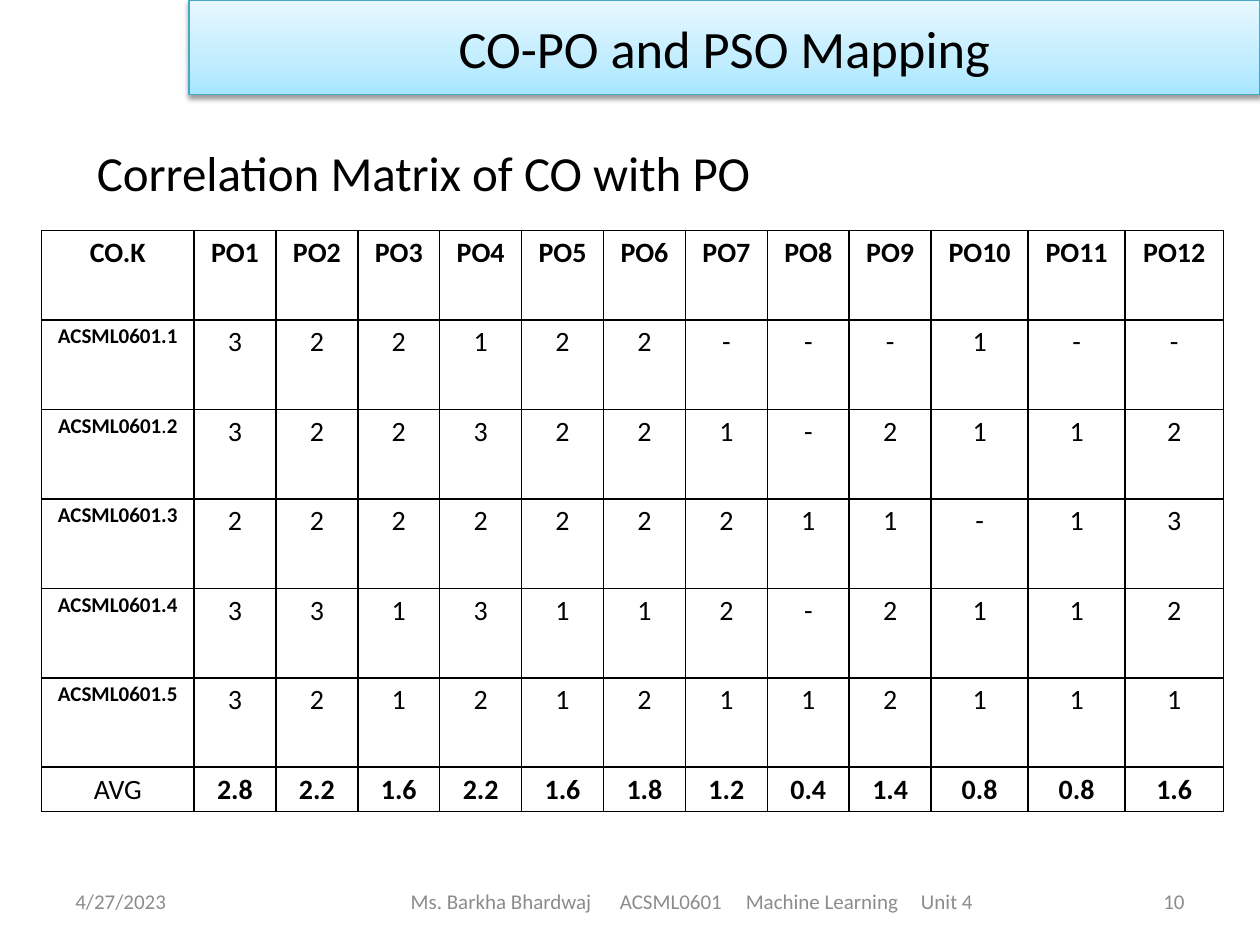
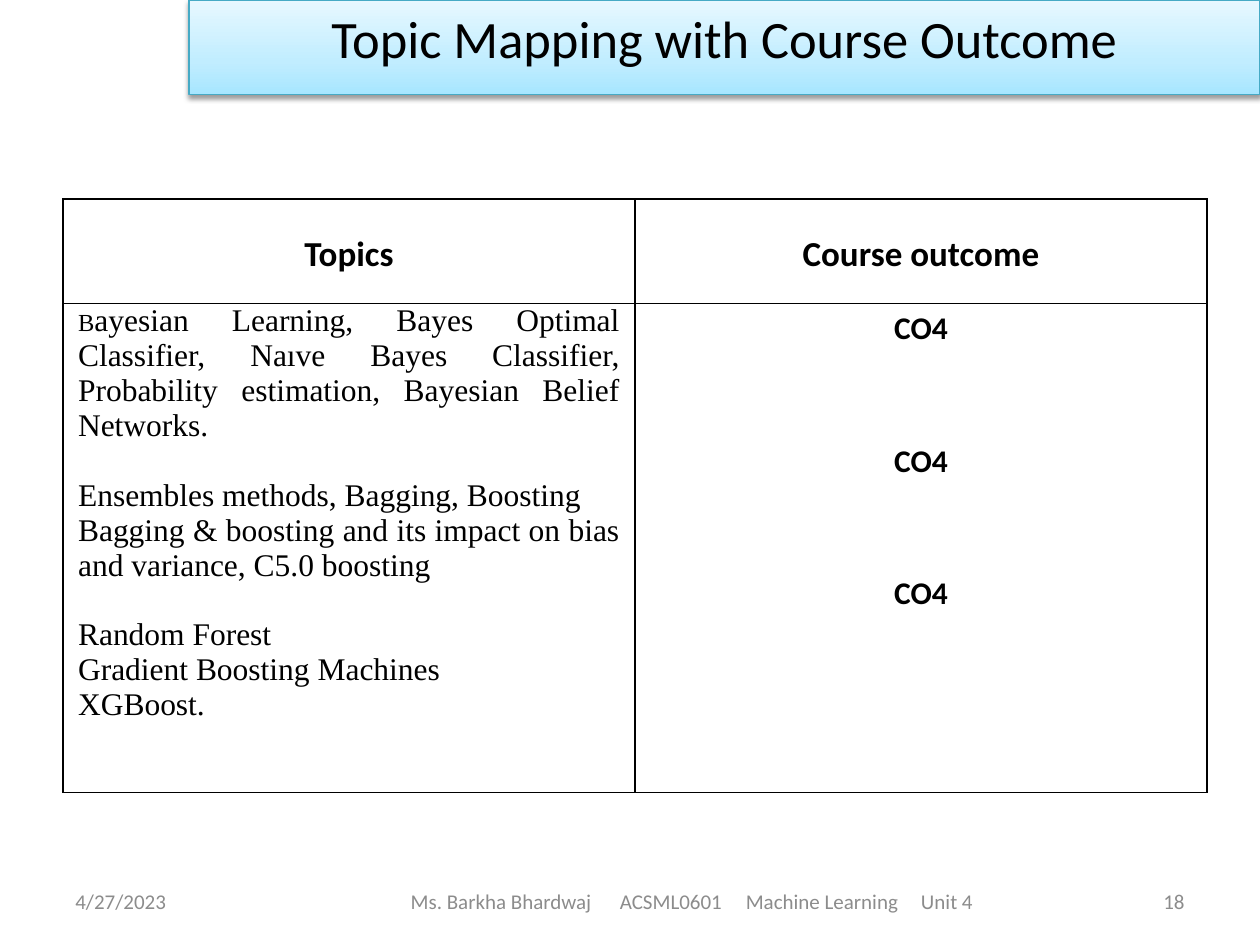
"""Build the CO-PO mapping and topic mapping slides of a course deck."""

from lxml.etree import SubElement
from pptx import Presentation
from pptx.dml.color import RGBColor
from pptx.enum.text import MSO_ANCHOR, MSO_AUTO_SIZE, PP_ALIGN
from pptx.oxml import parse_xml
from pptx.oxml.ns import nsdecls, qn
from pptx.util import Inches, Pt

COLORS = {
    "text": "000000",
    "footer": "8C8C8C",
    "band_bottom": "A7E6FF",
    "band_middle": "C1EDFF",
    "band_top": "E7F8FF",
    "band_line": "46AAC5",
    "border": "000000",
    "shadow": "000000",
}
BAND_STOPS = [(0, "band_bottom"), (35, "band_middle"), (100, "band_top")]
DATE = "4/27/2023"
FOOTER = "Ms. Barkha Bhardwaj\tACSML0601\tMachine Learning\tUnit 4"
FOOTER_TABS = [1.66, 2.66, 4.05]

OUTCOME_HEADERS = ["CO.K"] + [f"PO{number}" for number in range(1, 13)]
OUTCOME_SCORES = [
    ("ACSML0601.1", "3 2 2 1 2 2 - - - 1 - -"),
    ([("ACSML0601", {}), (".", {"bold": False}), ("2", {})], "3 2 2 3 2 2 1 - 2 1 1 2"),
    ("ACSML0601.3", "2 2 2 2 2 2 2 1 1 - 1 3"),
    ("ACSML0601.4", "3 3 1 3 1 1 2 - 2 1 1 2"),
    ("ACSML0601.5", "3 2 1 2 1 2 1 1 2 1 1 1"),
]
AVERAGES = "2.8 2.2 1.6 2.2 1.6 1.8 1.2 0.4 1.4 0.8 0.8 1.6"
OUTCOME_WIDTHS = [1.21] + [0.65] * 9 + [0.77, 0.77, 0.78]
OUTCOME_HEIGHTS = [0.71] * 6 + [0.35]

TOPIC_HEADERS = ["Topics", "Course outcome"]
TOPIC_GROUPS = [
    [[("B", {"size": 14}),
      ("ayesian Learning, Bayes Optimal Classifier, Naıve Bayes Classifier, "
       "Probability estimation, Bayesian Belief Networks.", {})]],
    ["Ensembles methods, Bagging, Boosting",
     "Bagging & boosting and its impact on bias and variance, C5.0 boosting"],
    ["Random Forest", "Gradient Boosting Machines", "XGBoost."],
]
TOPIC_OUTCOMES = [["CO4"], ["CO4"], ["CO4"]]


def write(frame, groups, size=16, bold=False, font="Calibri", color="text",
          align=PP_ALIGN.LEFT, line_spacing=None, group_gap=0):
    """Write groups of paragraphs, each a string or a list of (text, changes) runs."""
    frame.word_wrap = True
    paras = [(item, number > 0 and index == 0)
             for number, group in enumerate(groups) for index, item in enumerate(group)]
    for position, (item, opens_group) in enumerate(paras):
        para = frame.add_paragraph() if position else frame.paragraphs[0]
        para.alignment = align
        if line_spacing:
            para.line_spacing = line_spacing
        if opens_group:
            para.space_before = Pt(group_gap)
        for text, changes in [(item, {})] if isinstance(item, str) else item:
            span = para.add_run()
            span.text = text
            span.font.name = font
            span.font.size = Pt(changes.get("size", size))
            span.font.bold = changes.get("bold", bold)
            span.font.color.rgb = RGBColor.from_string(COLORS[color])


def add_text(page, text, left, top, width, height, **style):
    box = page.shapes.add_textbox(*map(Inches, (left, top, width, height)))
    box.text_frame.vertical_anchor = MSO_ANCHOR.MIDDLE
    write(box.text_frame, [[text]], **style)
    return box


def style_band(band):
    stops = "".join(f'<a:gs pos="{place * 1000}"><a:srgbClr val="{COLORS[name]}"/></a:gs>'
                    for place, name in BAND_STOPS)
    properties = band.element.spPr
    properties.append(parse_xml(
        f'<a:gradFill {nsdecls("a")} rotWithShape="1"><a:gsLst>{stops}</a:gsLst>'
        '<a:lin ang="16200000" scaled="0"/></a:gradFill>'))
    band.line.color.rgb = RGBColor.from_string(COLORS["band_line"])
    band.line.width = Pt(0.75)
    properties.append(parse_xml(
        f'<a:effectLst {nsdecls("a")}><a:outerShdw blurRad="{Pt(3.1)}" dist="{Pt(1.6)}" '
        f'dir="5400000" rotWithShape="0"><a:srgbClr val="{COLORS["shadow"]}">'
        '<a:alpha val="38000"/></a:srgbClr></a:outerShdw></a:effectLst>'))


def add_page(deck, title, number, anchor=MSO_ANCHOR.MIDDLE):
    page = deck.slides.add_slide(deck.slide_layouts[5])
    band = page.shapes.title
    band.left, band.top, band.width, band.height = map(Inches, (1.5, 0, 8.5, 0.75))
    style_band(band)
    band.text_frame.auto_size = MSO_AUTO_SIZE.NONE
    band.text_frame.vertical_anchor = anchor
    write(band.text_frame, [[title]], size=30, align=PP_ALIGN.CENTER)

    small = {"size": 12, "color": "footer"}
    add_text(page, DATE, 0.5, 6.95, 2.33, 0.4, **small)
    add_text(page, number, 7.17, 6.95, 2.33, 0.4, align=PP_ALIGN.RIGHT, **small)
    footer = add_text(page, FOOTER, 2.75, 6.95, 5.5, 0.4, **small)
    footer.text_frame.margin_left = Inches(0.51)
    tabs = SubElement(footer.text_frame.paragraphs[0]._p.get_or_add_pPr(), qn("a:tabLst"))
    for place in FOOTER_TABS:
        SubElement(tabs, qn("a:tab"), pos=str(Inches(place)), algn="l")
    return page


def add_grid(page, left, top, widths, heights):
    table = page.shapes.add_table(
        len(heights), len(widths), Inches(left), Inches(top),
        Inches(sum(widths)), Inches(sum(heights))).table
    table.first_row = table.horz_banding = False
    for column, width in zip(table.columns, widths):
        column.width = Inches(width)
    for row, height in zip(table.rows, heights):
        row.height = Inches(height)
    return table


def fill_cell(cell, groups, margin=0.07, anchor=MSO_ANCHOR.TOP, **style):
    cell.margin_left = cell.margin_right = Inches(margin)
    cell.margin_top = cell.margin_bottom = 0
    cell.vertical_anchor = anchor
    properties = cell._tc.get_or_add_tcPr()
    for side in "LRTB":
        properties.append(parse_xml(
            f'<a:ln{side} {nsdecls("a")} w="{Pt(1)}"><a:solidFill>'
            f'<a:srgbClr val="{COLORS["border"]}"/></a:solidFill></a:ln{side}>'))
    cell.fill.background()
    write(cell.text_frame, groups, **style)


def add_outcome_page(deck):
    page = add_page(deck, "CO-PO and PSO Mapping", "10")
    add_text(page, "Correlation Matrix of CO with PO", 0.67, 1.08, 9.33, 0.57, size=28)
    table = add_grid(page, 0.33, 1.83, OUTCOME_WIDTHS, OUTCOME_HEIGHTS)
    rows = [OUTCOME_HEADERS]
    rows += [[label, *scores.split()] for label, scores in OUTCOME_SCORES]
    rows.append(["AVG", *AVERAGES.split()])
    last = len(rows) - 1
    for row, values in enumerate(rows):
        for column, value in enumerate(values):
            is_code = column == 0 and 0 < row < last
            is_bold = row == 0 or is_code or (row == last and column > 0)
            fill_cell(table.cell(row, column), [[value]], size=12 if is_code else 16,
                      bold=is_bold, align=PP_ALIGN.CENTER, line_spacing=1.15)


def add_topic_page(deck):
    page = add_page(deck, "Topic Mapping with Course Outcome", "18", MSO_ANCHOR.TOP)
    table = add_grid(page, 0.5, 1.58, [4.54, 4.54], [0.83, 3.88])
    centered = {"bold": True, "align": PP_ALIGN.CENTER, "line_spacing": 1.15}
    for column, header in enumerate(TOPIC_HEADERS):
        fill_cell(table.cell(0, column), [[header]], anchor=MSO_ANCHOR.MIDDLE,
                  size=20, **centered)
    fill_cell(table.cell(1, 0), TOPIC_GROUPS, margin=0.12, size=18,
              font="Times New Roman", align=PP_ALIGN.JUSTIFY, group_gap=20)
    fill_cell(table.cell(1, 1), TOPIC_OUTCOMES, size=18, group_gap=50.5, **centered)


def main():
    deck = Presentation()
    deck.slide_width, deck.slide_height = Inches(10), Inches(7.5)
    add_outcome_page(deck)
    add_topic_page(deck)
    deck.save("out.pptx")


if __name__ == "__main__":
    main()
